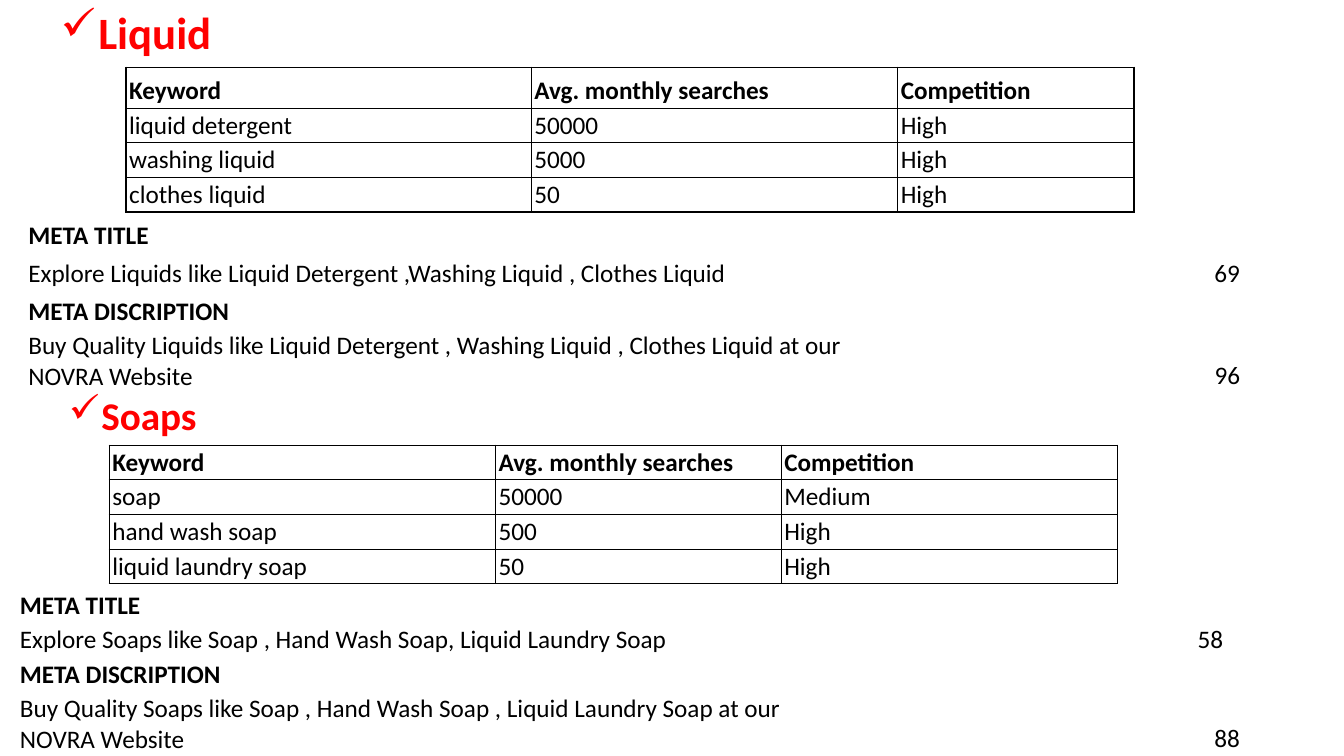
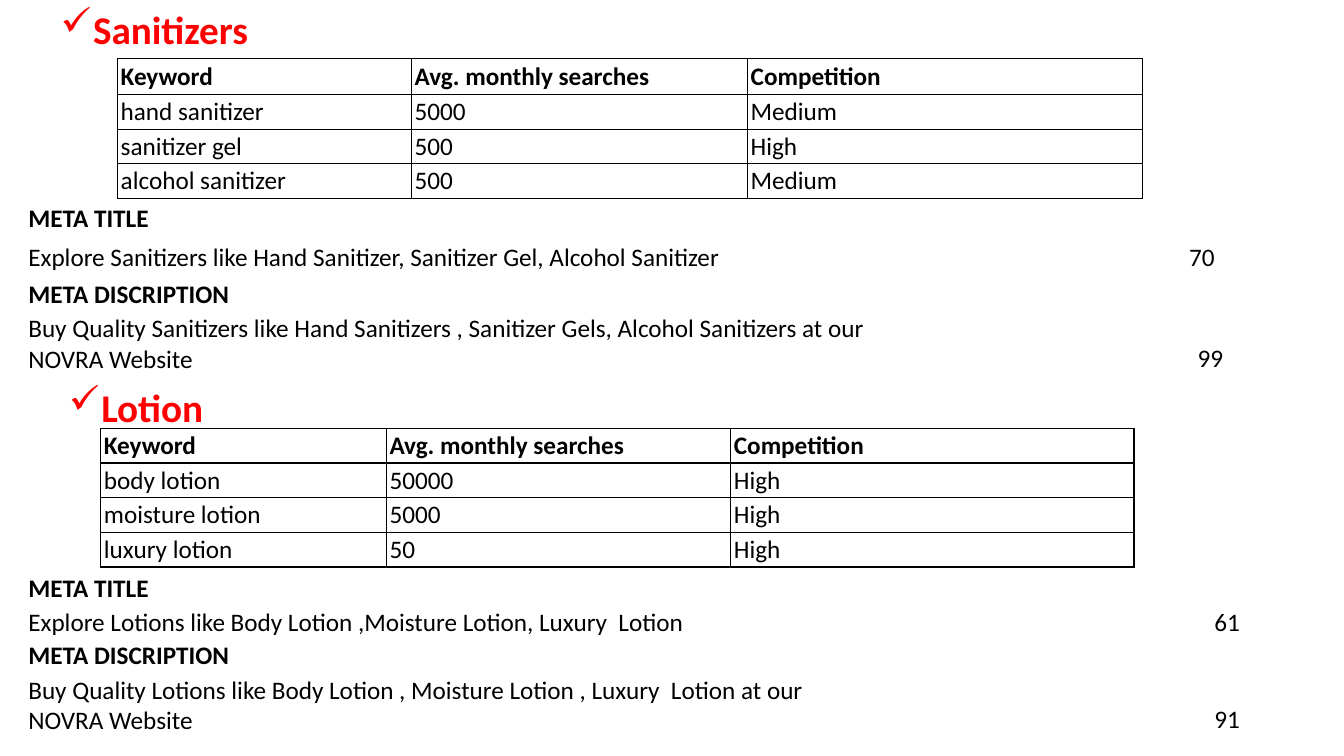
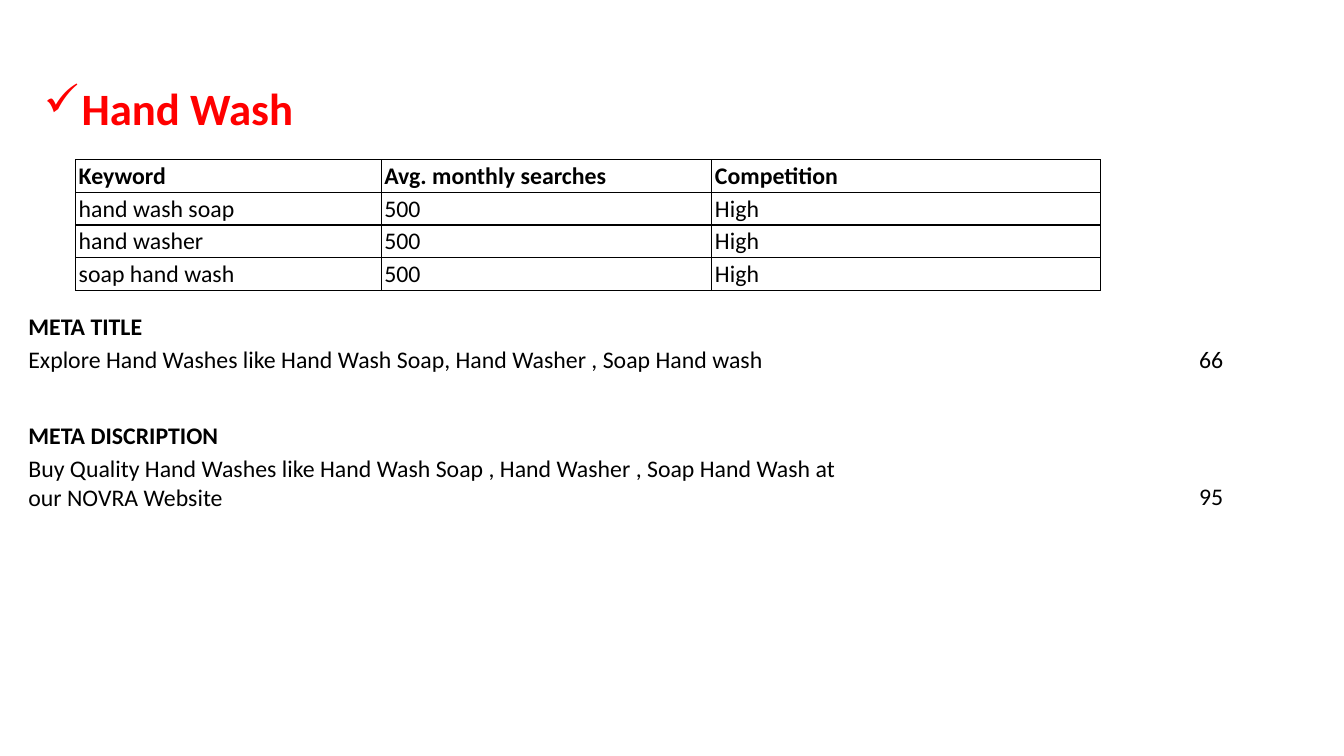
from lxml.etree import SubElement
from pptx import Presentation
from pptx.dml.color import RGBColor
from pptx.enum.text import MSO_ANCHOR, MSO_AUTO_SIZE, PP_ALIGN
from pptx.oxml.ns import qn
from pptx.util import Pt

PX = 9525
FONT, RED, BLACK = "Calibri", "FF0000", "000000"
CHECK_FONT, CHECK = "Wingdings", "ü"  # this letter is the check mark in Wingdings
TITLE_ONLY = 5
HEADER = ("Keyword", "Avg. monthly searches", "Competition")

# Grids are (left, top), column widths and one row height in px; "pt" is the font size.
SLIDES = [
    [
        {
            "heading": ("Liquid", 32, (48, 0, 232, 61)), "pt": 18,
            "keywords": [("liquid detergent", "50000", "High"),
                         ("washing liquid", "5000", "High"),
                         ("clothes liquid", "50", "High")],
            "keyword_grid": ((120, 64), (386, 349, 225), 39),
            "title": ("Explore Liquids like Liquid Detergent ,Washing Liquid , Clothes Liquid", "69"),
            "title_grid": ((24, 208), (807, 215, 138), 36),
            "description": ("Buy Quality Liquids like Liquid Detergent , Washing Liquid , "
                            "Clothes Liquid at our NOVRA Website", "96"),
            "description_grid": ((24, 280), (814, 210, 136), 61),
        },
        {
            "heading": ("Soaps", 28, (56, 368, 256, 55)), "pt": 18,
            "keywords": [("soap", "50000", "Medium"),
                         ("hand wash soap", "500", "High"),
                         ("liquid laundry soap", "50", "High")],
            "keyword_grid": ((104, 424), (368, 272, 320), 33),
            "title": ("Explore Soaps like Soap , Hand Wash Soap, Liquid Laundry Soap", "58"),
            "title_grid": ((16, 560), (786, 231, 135), 33),
            "description": ("Buy Quality Soaps like Soap , Hand Wash Soap , "
                            "Liquid Laundry Soap at our NOVRA Website", "88"),
            "description_grid": ((16, 626), (797, 234, 137), 61),
        },
    ],
    [
        {
            "heading": ("Sanitizers", 28, (48, 0, 248, 55)), "pt": 18,
            "keywords": [("hand sanitizer", "5000", "Medium"),
                         ("sanitizer gel", "500", "High"),
                         ("alcohol sanitizer", "500", "Medium")],
            "keyword_grid": ((112, 56), (280, 320, 376), 34),
            "title": ("Explore Sanitizers like Hand Sanitizer, Sanitizer Gel, Alcohol Sanitizer", "70"),
            "title_grid": ((24, 192), (798, 205, 133), 37),
            "description": ("Buy Quality Sanitizers like Hand Sanitizers , Sanitizer Gels, "
                            "Alcohol Sanitizers at our NOVRA Website", "99"),
            "description_grid": ((24, 264), (821, 211, 112), 61),
        },
        {
            "heading": ("Lotion", 28, (56, 360, 176, 55)), "pt": 18,
            "keywords": [("body lotion", "50000", "High"),
                         ("moisture lotion", "5000", "High"),
                         ("luxury lotion", "50", "High")],
            "keyword_grid": ((96, 408), (272, 328, 384), 33),
            "title": ("Explore Lotions like Body Lotion ,Moisture Lotion, Luxury  Lotion", "61"),
            "title_grid": ((24, 544), (784, 231, 145), 33),
            "description": ("Buy Quality Lotions like Body Lotion , Moisture Lotion , "
                            "Luxury  Lotion at our NOVRA Website", "91"),
            "description_grid": ((24, 608), (784, 231, 145), 61),
        },
    ],
    [
        {
            "heading": ("Hand Wash", 32, (32, 72, 288, 61)), "pt": 17,
            "keywords": [("hand wash soap", "500", "High"),
                         ("hand washer", "500", "High"),
                         ("soap hand wash", "500", "High")],
            "keyword_grid": ((72, 152), (291, 315, 370), 31),
            "title": ("Explore Hand Washes like Hand Wash Soap, Hand Washer , Soap Hand wash", "66"),
            "title_grid": ((24, 296), (809, 205, 130), 31),
            "description": ("Buy Quality Hand Washes like Hand Wash Soap , Hand Washer , "
                            "Soap Hand Wash at our NOVRA Website", "95"),
            "description_grid": ((24, 400), (809, 205, 130), 58),
        },
    ],
]


def style_run(p, size, color, bold):
    for r in p.runs:
        r.font.name, r.font.size, r.font.bold = FONT, Pt(size), bold
        r.font.color.rgb = RGBColor.from_string(color)


def add_heading(sp, text, size, box):
    """Place a red check-marked heading in a title placeholder or text box."""
    sp.left, sp.top, sp.width, sp.height = (v * PX for v in box)
    tf = sp.text_frame
    tf.text = text
    tf.word_wrap = True
    tf.auto_size = MSO_AUTO_SIZE.SHAPE_TO_FIT_TEXT
    tf.vertical_anchor = MSO_ANCHOR.TOP
    p = tf.paragraphs[0]
    p.alignment = PP_ALIGN.LEFT
    pPr = p._p.get_or_add_pPr()
    indent = round(size * 1.12) * PX
    pPr.set("marL", str(indent))
    pPr.set("indent", str(-indent))
    SubElement(pPr, qn("a:buFont"), typeface=CHECK_FONT, pitchFamily="2", charset="2")
    SubElement(pPr, qn("a:buChar"), char=CHECK)
    style_run(p, size, RED, True)


def add_borders(cell):
    tcPr = cell._tc.get_or_add_tcPr()
    for side in ("lnL", "lnR", "lnT", "lnB"):
        ln = SubElement(tcPr, qn(f"a:{side}"), w=str(Pt(1)))
        fill = SubElement(ln, qn("a:solidFill"))
        SubElement(fill, qn("a:srgbClr"), val=BLACK)


def fill_cell(cell, text, size, bold):
    cell.margin_left = cell.margin_right = 3 * PX
    cell.margin_top = cell.margin_bottom = 2 * PX
    cell.vertical_anchor = MSO_ANCHOR.BOTTOM
    cell.fill.background()
    p = cell.text_frame.paragraphs[0]
    if text:
        p.text = text
        style_run(p, size, BLACK, bold)
    else:
        p._p.get_or_add_endParaRPr().set("sz", str(size * 100))


def add_grid(s, rows, origin, widths, heights, size, bordered):
    """Add a table whose first row is bold."""
    left, top = origin
    table = s.shapes.add_table(len(rows), len(widths), left * PX, top * PX,
                               sum(widths) * PX, sum(heights) * PX).table
    table.first_row = table.horz_banding = False
    for column, width in zip(table.columns, widths):
        column.width = width * PX
    for i, (values, height) in enumerate(zip(rows, heights)):
        table.rows[i].height = height * PX
        for j, value in enumerate(values):
            cell = table.cell(i, j)
            if bordered:
                add_borders(cell)
            fill_cell(cell, value, size, i == 0)
    return table


def add_section(s, section, heading_shape):
    size = section["pt"]
    line = round(size * 1.83)
    origin, widths, header_height = section["keyword_grid"]
    rows = [HEADER] + section["keywords"]
    heights = [header_height] + [line] * len(section["keywords"])
    add_grid(s, rows, origin, widths, heights, size, True)
    for key, label in (("title", "META TITLE"), ("description", "META DISCRIPTION")):
        text, length = section[key]
        origin, widths, text_height = section[f"{key}_grid"]
        table = add_grid(s, [(label, "", ""), (text, "", length)], origin, widths,
                         [line, text_height], size, False)
        table.cell(1, 2).text_frame.paragraphs[0].alignment = PP_ALIGN.RIGHT
    add_heading(heading_shape, *section["heading"])


def main():
    prs = Presentation()
    prs.slide_width, prs.slide_height = 1280 * PX, 720 * PX
    for sections in SLIDES:
        s = prs.slides.add_slide(prs.slide_layouts[TITLE_ONLY])
        for i, section in enumerate(sections):
            sp = s.shapes.add_textbox(0, 0, PX, PX) if i else s.shapes.title
            add_section(s, section, sp)
    prs.save("out.pptx")


if __name__ == "__main__":
    main()
